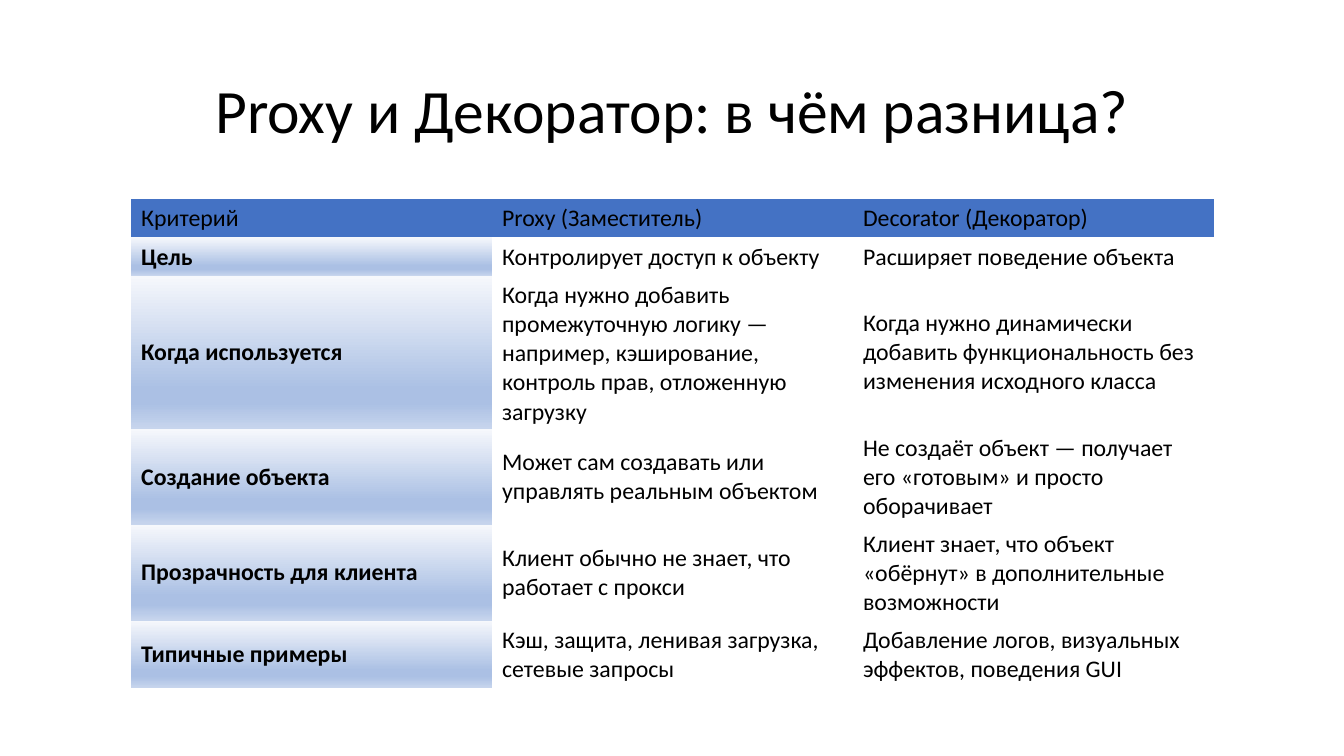
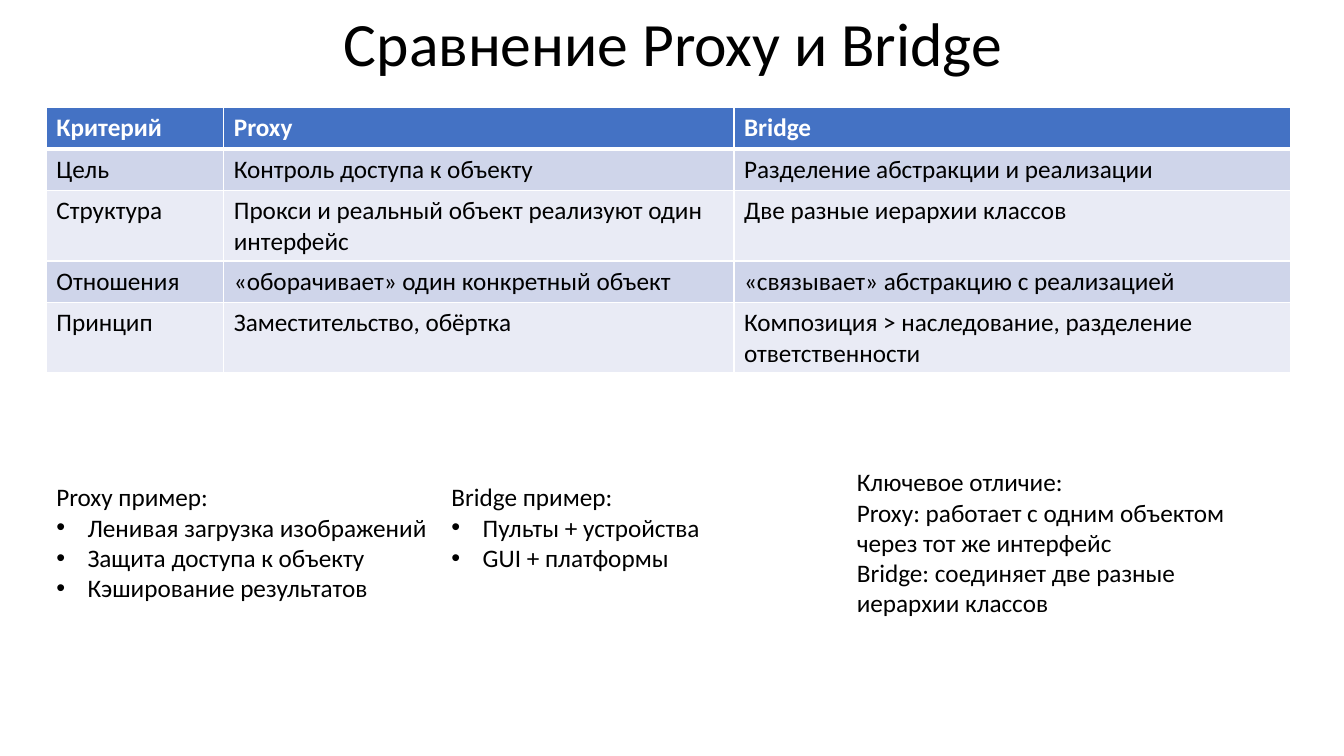
from pptx import Presentation
from pptx.dml.color import RGBColor
from pptx.enum.text import MSO_ANCHOR, MSO_AUTO_SIZE, PP_ALIGN
from pptx.oxml import parse_xml
from pptx.oxml.ns import nsdecls
from pptx.util import Inches, Pt

# Content
PROXY_DECORATOR = [
    ("Критерий", "Proxy (Заместитель)", "Decorator (Декоратор)"),
    ("Цель", "Контролирует доступ к объекту", "Расширяет поведение объекта"),
    ("Когда используется",
     "Когда нужно добавить промежуточную логику — например, кэширование, "
     "контроль прав, отложенную загрузку",
     "Когда нужно динамически добавить функциональность без изменения исходного класса"),
    ("Создание объекта",
     "Может сам создавать или управлять реальным объектом",
     "Не создаёт объект — получает его «готовым» и просто оборачивает"),
    ("Прозрачность для клиента",
     "Клиент обычно не знает, что работает с прокси",
     "Клиент знает, что объект «обёрнут» в дополнительные возможности"),
    ("Типичные примеры",
     "Кэш, защита, ленивая загрузка, сетевые запросы",
     "Добавление логов, визуальных эффектов, поведения GUI"),
]
PROXY_BRIDGE = [
    ("Критерий", "Proxy", "Bridge"),
    ("Цель", "Контроль доступа к объекту", "Разделение абстракции и реализации"),
    ("Структура", "Прокси и реальный объект реализуют один интерфейс",
     "Две разные иерархии классов"),
    ("Отношения", "«оборачивает» один конкретный объект",
     "«связывает» абстракцию с реализацией"),
    ("Принцип", "Заместительство, обёртка",
     "Композиция > наследование, разделение ответственности"),
]
# Notes under the second table: box, bulleted, wrapped, lines
NOTES = [
    ((0.46, 4.73, 3.92, 1.62), True, False,
     ["Proxy пример:", "Ленивая загрузка изображений",
      "Защита доступа к объекту", "Кэширование результатов"]),
    ((4.38, 4.73, 3.56, 1.01), True, True,
     ["Bridge пример:", "Пульты + устройства", "GUI + платформы"]),
    ((8.4, 4.58, 4.4, 1.62), False, True,
     ["Ключевое отличие:", "Proxy: работает с одним объектом через тот же интерфейс",
      "Bridge: соединяет две разные иерархии классов"]),
]

# Shared style
FONT = "Calibri"
BLACK = RGBColor(0x00, 0x00, 0x00)
WHITE = RGBColor(0xFF, 0xFF, 0xFF)
BLUE = RGBColor(0x44, 0x72, 0xC4)
BANDS = [RGBColor(0xE9, 0xEB, 0xF5), RGBColor(0xCF, 0xD5, 0xEA)]
GRADIENT = [(0, RGBColor(0xF6, 0xF8, 0xFC)), (74, RGBColor(0xAB, 0xC0, 0xE4)),
            (83, RGBColor(0xAB, 0xC0, 0xE4)), (100, RGBColor(0xC7, 0xD5, 0xED))]
PLAIN_TABLE = "{2D5ABB26-0587-4C30-8999-92F81FD0307C}"
BULLET_INDENT = Inches(0.31)


def write(p, text, size=18, color=BLACK, bold=False, bullet=False):
    """Put one formatted run into a paragraph."""
    r = p.add_run()
    r.text = text
    r.font.name, r.font.size, r.font.bold = FONT, Pt(size), bold
    r.font.color.rgb = color
    if bullet:
        pPr = p._p.get_or_add_pPr()
        pPr.set("marL", str(BULLET_INDENT))
        pPr.set("indent", str(-BULLET_INDENT))
        pPr.append(parse_xml(f'<a:buFont {nsdecls("a")} typeface="Arial"/>'))
        pPr.append(parse_xml(f'<a:buChar {nsdecls("a")} char="•"/>'))


def add_box(s, box, wrap=True):
    tf = s.shapes.add_textbox(*map(Inches, box)).text_frame
    tf.word_wrap = wrap
    return tf


def add_title(s, text, left, top):
    tf = add_box(s, (left, top, 11.5, 1.45))
    tf.vertical_anchor = MSO_ANCHOR.MIDDLE
    p = tf.paragraphs[0]
    p.alignment, p.line_spacing = PP_ALIGN.CENTER, 0.9
    write(p, text, size=44)


def set_borders(cell, **widths):
    """Draw white cell edges; a width of 0 means no line."""
    for side in "LRTB":
        width = widths.get(side, 0)
        paint = f'<a:solidFill><a:srgbClr val="{WHITE}"/></a:solidFill>' if width else "<a:noFill/>"
        cell._tc.get_or_add_tcPr().append(parse_xml(
            f'<a:ln{side} {nsdecls("a")} w="{Pt(width)}">{paint}</a:ln{side}>'))


def fill_gradient(cell):
    stops = "".join(f'<a:gs pos="{pos * 1000}"><a:srgbClr val="{color}"/></a:gs>'
                    for pos, color in GRADIENT)
    cell._tc.get_or_add_tcPr().append(parse_xml(
        f'<a:gradFill {nsdecls("a")} rotWithShape="1"><a:gsLst>{stops}</a:gsLst>'
        '<a:lin ang="5400000" scaled="0"/></a:gradFill>'))


def fill_solid(cell, color):
    cell.fill.solid()
    cell.fill.fore_color.rgb = color


def style_gradient(cell, row, col):
    """Blue header, gradient first column, no lines."""
    cell.vertical_anchor = MSO_ANCHOR.MIDDLE
    set_borders(cell)
    if row == 0:
        fill_solid(cell, BLUE)
    elif col == 0:
        fill_gradient(cell)
    else:
        cell.fill.background()
    return dict(size=17, bold=row > 0 and col == 0)


def style_banded(cell, row, col):
    """Blue header, alternating bands, white lines."""
    set_borders(cell, L=1, R=1, T=3 if row == 1 else 1, B=3 if row == 0 else 1)
    fill_solid(cell, BANDS[row % 2] if row else BLUE)
    return dict(color=BLACK if row else WHITE, bold=row == 0)


def add_grid(s, data, left, top, cols, rows, style):
    shape = s.shapes.add_table(len(rows), len(cols), Inches(left), Inches(top),
                               Inches(sum(cols)), Inches(sum(rows)))
    table = shape.table
    table.first_row = table.horz_banding = False
    table._tbl.tblPr.find("{*}tableStyleId").text = PLAIN_TABLE
    for column, width in zip(table.columns, cols):
        column.width = Inches(width)
    for i, (line, height) in enumerate(zip(data, rows)):
        table.rows[i].height = Inches(height)
        for j, text in enumerate(line):
            cell = table.cell(i, j)
            write(cell.text_frame.paragraphs[0], text, **style(cell, i, j))


def add_note(s, box, bulleted, wrap, lines):
    tf = add_box(s, box, wrap)
    tf.auto_size = MSO_AUTO_SIZE.SHAPE_TO_FIT_TEXT
    for i, text in enumerate(lines):
        p = tf.add_paragraph() if i else tf.paragraphs[0]
        write(p, text, bullet=bulleted and i > 0)


def main():
    prs = Presentation()
    prs.slide_width, prs.slide_height = Inches(13.33), Inches(7.5)
    blank = prs.slide_layouts[6]

    # Proxy and Decorator
    s = prs.slides.add_slide(blank)
    add_title(s, "Proxy и Декоратор: в чём разница?", 0.92, 0.4)
    add_grid(s, PROXY_DECORATOR, 1.3, 1.97, [3.58] * 3,
             [0.37, 0.37, 1.49, 0.93, 0.93, 0.65], style_gradient)

    # Proxy and Bridge
    s = prs.slides.add_slide(blank)
    add_title(s, "Сравнение Proxy и Bridge", 0.93, -0.26)
    for note in NOTES:
        add_note(s, *note)
    add_grid(s, PROXY_BRIDGE, 0.46, 1.07, [1.76, 5.06, 5.52],
             [0.41, 0.41, 0.7, 0.41, 0.7], style_banded)

    prs.save("out.pptx")


if __name__ == "__main__":
    main()
